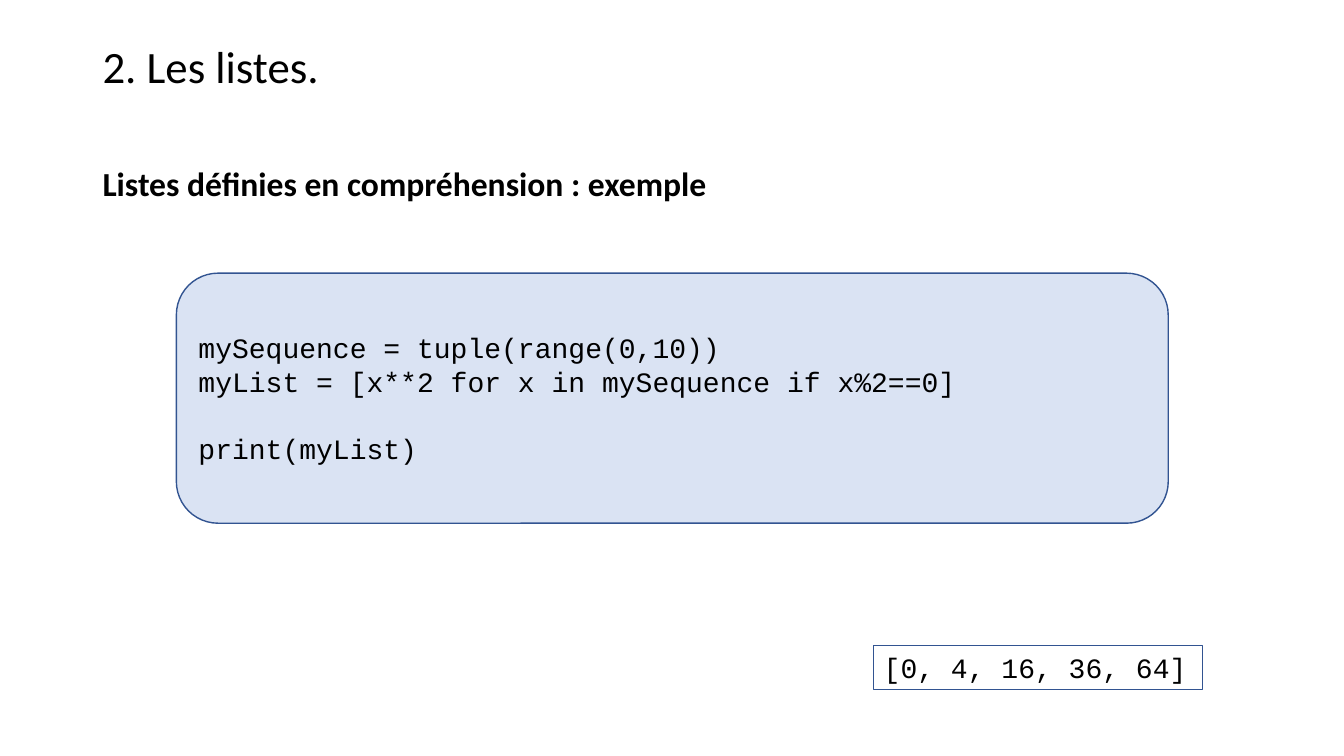
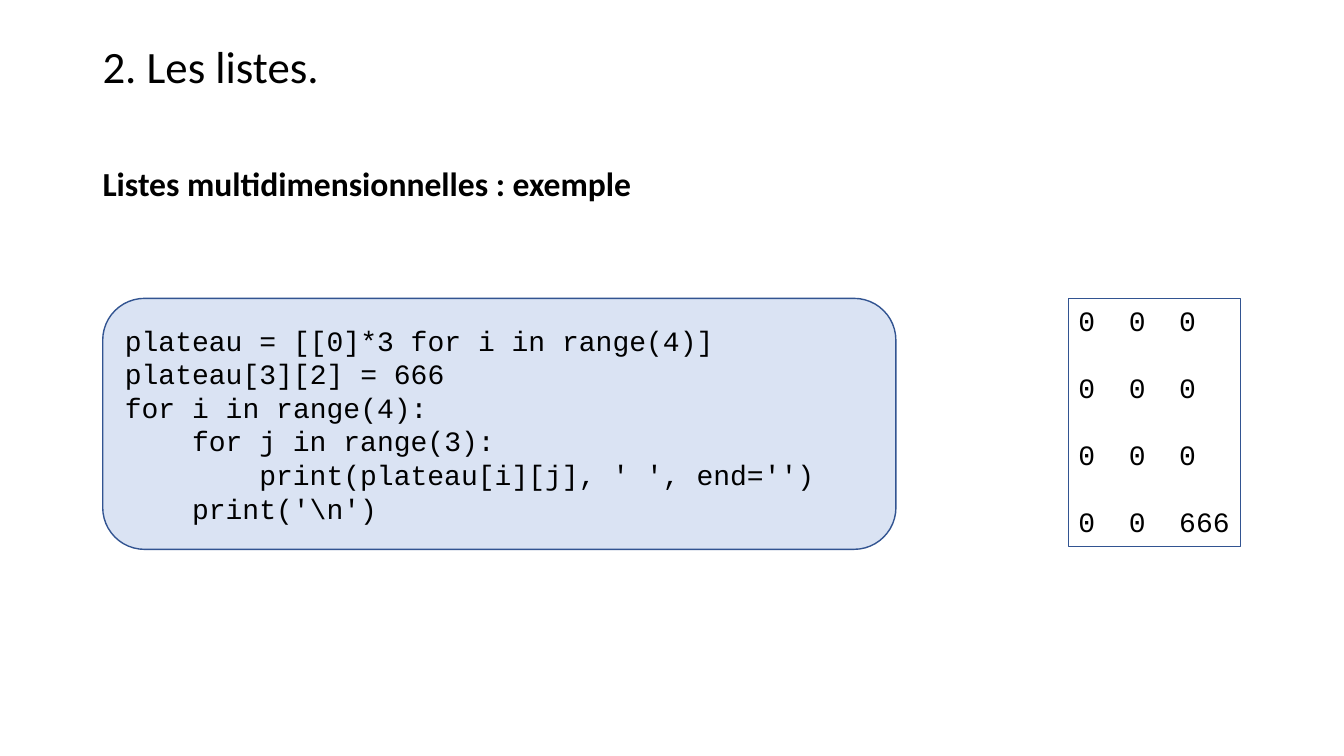
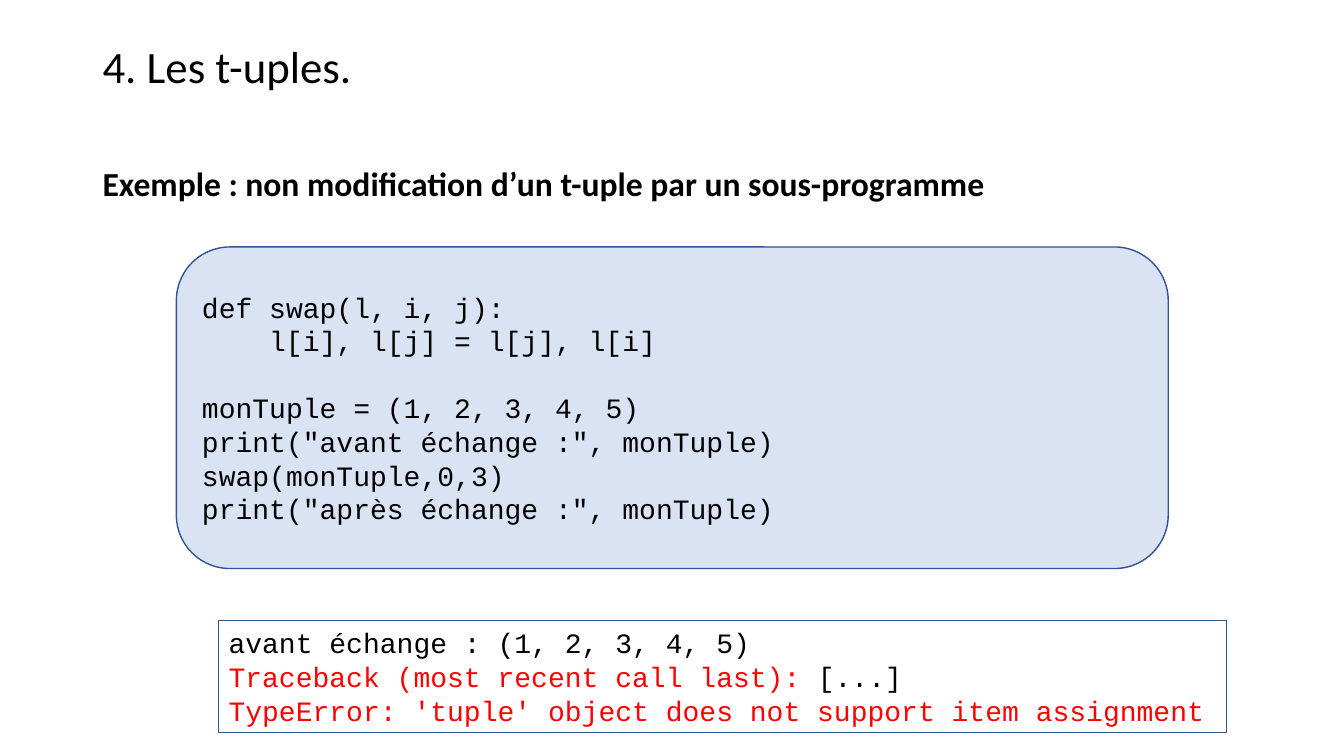
from dataclasses import dataclass

from pptx import Presentation
from pptx.dml.color import RGBColor
from pptx.enum.shapes import MSO_SHAPE
from pptx.enum.text import MSO_ANCHOR, MSO_AUTO_SIZE, PP_ALIGN
from pptx.util import Pt


@dataclass(frozen=True)
class Theme:
    ink: str = "000000"
    error: str = "FF0000"
    panel: str = "DAE3F3"
    outline: str = "325491"
    text_font: str = "Calibri"
    code_font: str = "Courier New"
    title_size: int = 32
    subtitle_size: int = 24
    code_size: int = 20
    code_line: int = 24
    code_character: int = 12


THEME = Theme()
WIDE_LEFT, WIDE_WIDTH = 126, 708.5
PLATEAU_TOP = 213.1


def add_span(para, text, font, size, color=THEME.ink, bold=False):
    span = para.add_run()
    span.text = text
    span.font.name = font
    span.font.size = Pt(size)
    span.font.bold = bold
    span.font.color.rgb = RGBColor.from_string(color)


def add_heading(page, top, height, text, size, bold=False, spacing=1.0):
    box = page.shapes.add_textbox(Pt(66.2), Pt(top), Pt(828), Pt(height))
    box.text_frame.word_wrap = True
    para = box.text_frame.paragraphs[0]
    para.line_spacing = spacing
    add_span(para, text, THEME.text_font, size, bold=bold)


def write_code(frame, lines):
    gap = 0
    para = None
    for line in lines:
        if not line:
            gap += THEME.code_line
            continue
        para = frame.paragraphs[0] if para is None else frame.add_paragraph()
        para.alignment = PP_ALIGN.LEFT
        para.line_spacing = Pt(THEME.code_line)
        para.space_before = Pt(gap)
        gap = 0
        spans = [(line, THEME.ink)] if isinstance(line, str) else line
        first = spans[0][0]
        indent = len(first) - len(first.lstrip())
        if indent:
            margin = Pt(indent * THEME.code_character)
            para._p.get_or_add_pPr().set("marL", str(margin))
        for position, (text, color) in enumerate(spans):
            shown = text if position else text.lstrip()
            add_span(para, shown, THEME.code_font, THEME.code_size, color)


def add_frame(page, kind, place, line_width):
    box = page.shapes.add_shape(kind, *(Pt(length) for length in place))
    box.shadow.inherit = False
    box.line.color.rgb = RGBColor.from_string(THEME.outline)
    box.line.width = Pt(line_width)
    box.text_frame.word_wrap = True
    return box


def add_code(page, place, code):
    box = add_frame(page, MSO_SHAPE.ROUNDED_RECTANGLE, place, 1)
    box.fill.solid()
    box.fill.fore_color.rgb = RGBColor.from_string(THEME.panel)
    box.text_frame.vertical_anchor = MSO_ANCHOR.MIDDLE
    write_code(box.text_frame, code.strip().splitlines())


def add_output(page, place, lines):
    box = add_frame(page, MSO_SHAPE.RECTANGLE, place, 0.75)
    box.fill.background()
    box.text_frame.vertical_anchor = MSO_ANCHOR.TOP
    box.text_frame.auto_size = MSO_AUTO_SIZE.SHAPE_TO_FIT_TEXT
    write_code(box.text_frame, lines)


def add_page(deck, title, subtitle):
    page = deck.slides.add_slide(deck.slide_layouts[6])
    add_heading(page, 28.8, 45.4, title, THEME.title_size, spacing=0.9)
    add_heading(page, 113, 36, subtitle, THEME.subtitle_size, bold=True)
    return page


def add_comprehension_page(deck):
    page = add_page(deck, "2. Les listes.", "Listes définies en compréhension : exemple")
    add_code(page, (WIDE_LEFT, 195.1, WIDE_WIDTH, 178.6), """
mySequence = tuple(range(0,10))
myList = [x**2 for x in mySequence if x%2==0]

print(myList)
""")
    add_output(page, (624.2, 460.8, 234.7, 31.7), ["[0, 4, 16, 36, 64]"])


def add_plateau_page(deck):
    page = add_page(deck, "2. Les listes.", "Listes multidimensionnelles : exemple")
    add_code(page, (73.4, PLATEAU_TOP, 566.6, 179.3), r"""
plateau = [[0]*3 for i in range(4)]
plateau[3][2] = 666
for i in range(4):
    for j in range(3):
        print(plateau[i][j], ' ', end='')
    print('\n')
""")
    rows = ["0  0  0", ""] * 3 + ["0  0  666"]
    add_output(page, (763.2, PLATEAU_TOP, 123.2, 177.1), rows)


def add_tuple_page(deck):
    page = add_page(deck, "4. Les t-uples.",
                    "Exemple : non modification d’un t-uple par un sous-programme")
    add_code(page, (WIDE_LEFT, 176.4, WIDE_WIDTH, 229.7), """
def swap(l, i, j):
    l[i], l[j] = l[j], l[i]

monTuple = (1, 2, 3, 4, 5)
print("avant échange :", monTuple)
swap(monTuple,0,3)
print("après échange :", monTuple)
""")
    add_output(page, (156.2, 443.5, 720, 79.9), [
        "avant échange : (1, 2, 3, 4, 5)",
        [("Traceback (most recent call last): ", THEME.error), ("[...]", THEME.ink)],
        [("TypeError: 'tuple' object does not support item assignment", THEME.error)],
    ])


def main():
    deck = Presentation()
    deck.slide_width, deck.slide_height = Pt(960), Pt(540)
    add_comprehension_page(deck)
    add_plateau_page(deck)
    add_tuple_page(deck)
    deck.save("out.pptx")


if __name__ == "__main__":
    main()
